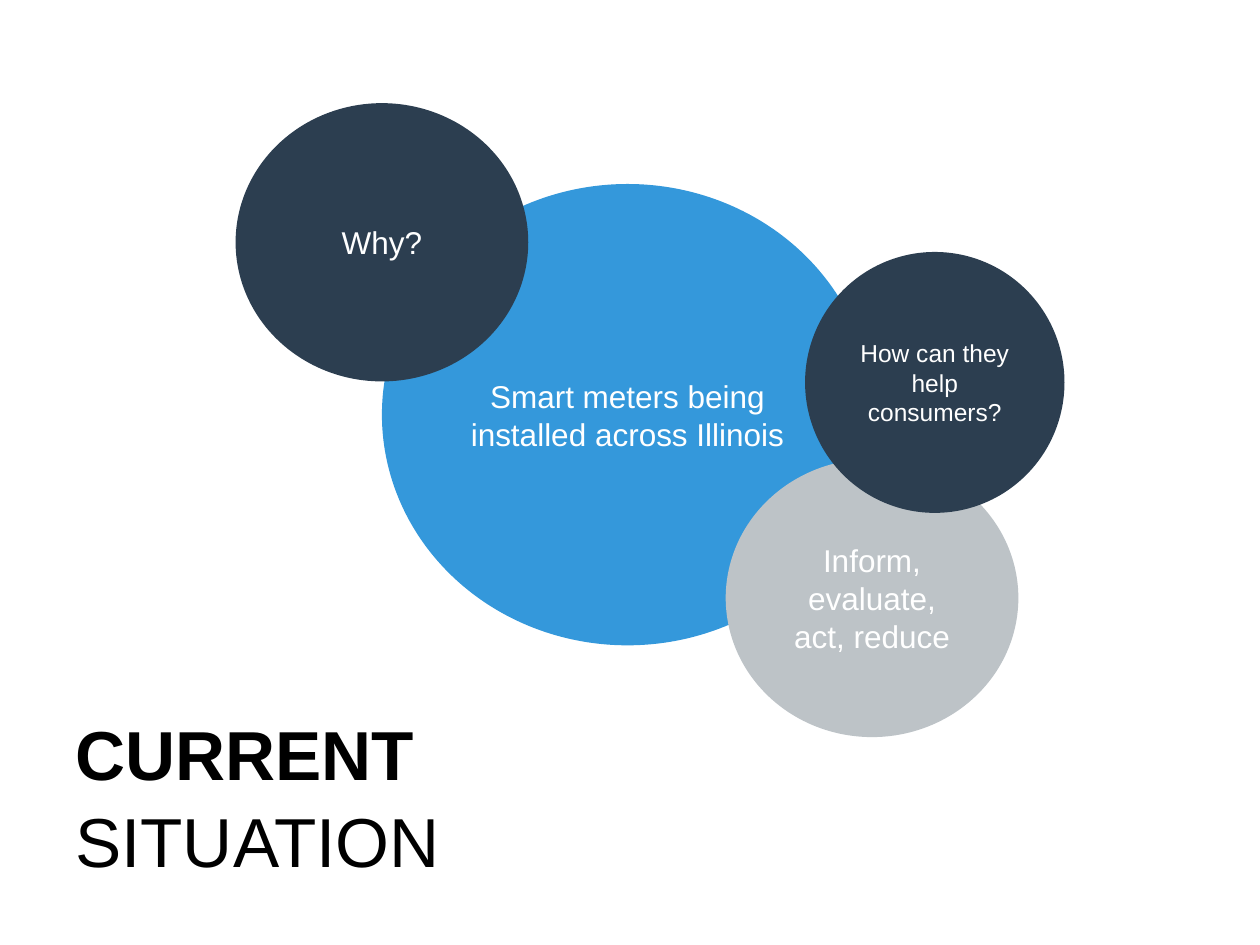
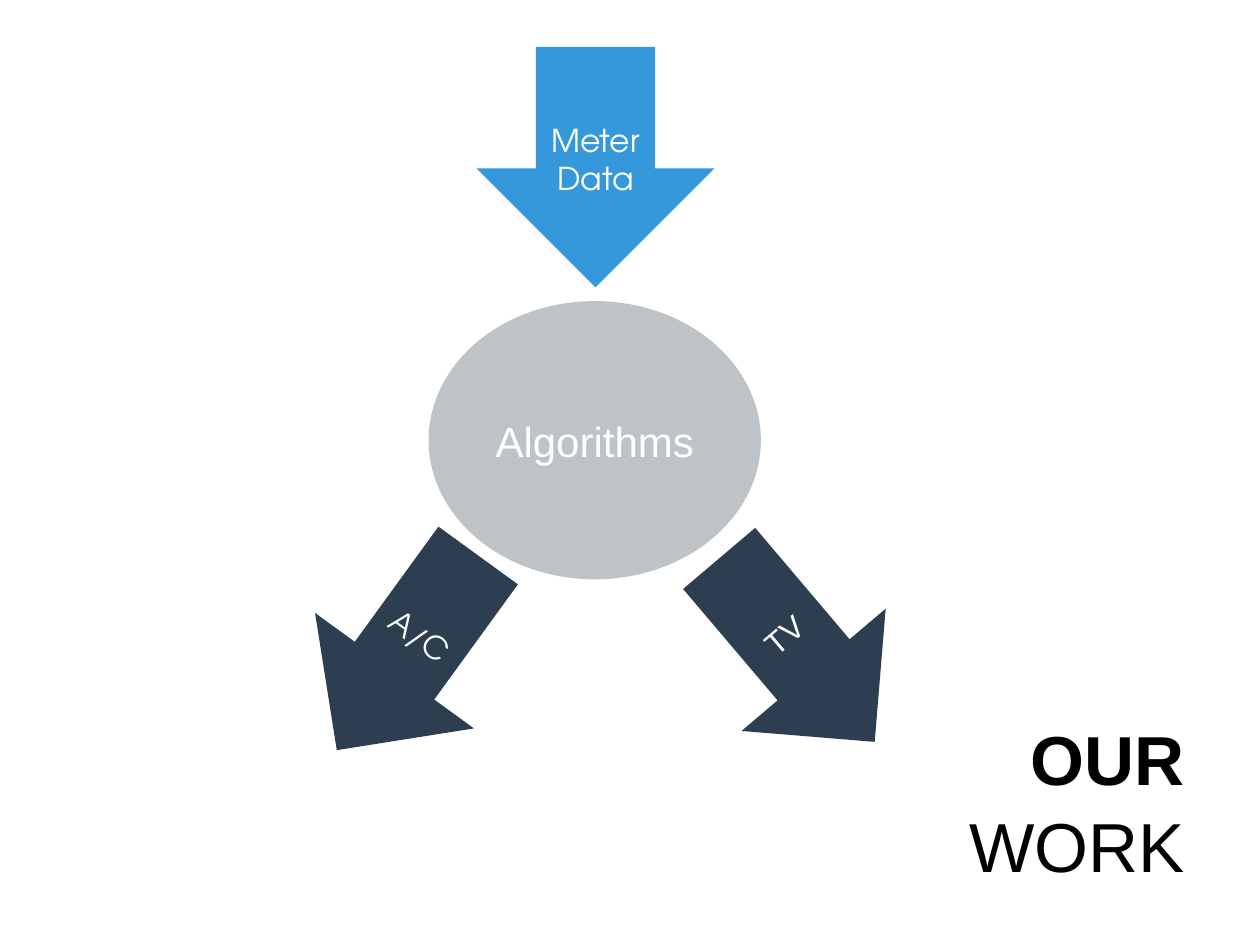
from pptx import Presentation
from pptx import util as u
from pptx.dml.color import RGBColor
from pptx.enum import shapes, text

BLUE, NAVY, GREY = "3498DB", "2C3E50", "BDC3C7"
WHITE, BLACK = "FFFFFF", "000000"
SANS, ROUND = "Arial", "TeX Gyre Adventor"
ALIGN = text.PP_ALIGN


def rgb(value):
    """Turn a hex string into a colour."""
    return RGBColor.from_string(value)


def apply(target, formats):
    """Set attributes from a dict of format values."""
    for name, value in formats.items():
        setattr(target, name, value)


def add_run(p, words, color, **font):
    """Add a coloured run to a paragraph."""
    r = p.add_run()
    r.text = words
    apply(r.font, font)
    r.font.color.rgb = rgb(color)


def add_title(s, top, strong, light, align):
    """Add the two-line title: a bold word above a regular one."""
    box = s.shapes.add_textbox(u.Cm(1.27), u.Cm(top), u.Cm(22.86), u.Cm(3.18))
    tf = box.text_frame
    apply(tf, {"word_wrap": True, "vertical_anchor": text.MSO_ANCHOR.MIDDLE})
    p = tf.paragraphs[0]
    apply(p, {"alignment": align, "line_spacing": 1.04})
    font = {"size": u.Pt(39.6), "name": SANS}
    add_run(p, strong, BLACK, bold=True, **font)
    p.add_line_break()
    add_run(p, light, BLACK, bold=False, **font)


def add_filled(s, kind, box, fill, lines, size=18, font=SANS):
    """Add a borderless shape with centred white text."""
    sp = s.shapes.add_shape(kind, *(u.Cm(v) for v in box))
    sp.shadow.inherit = False
    sp.fill.solid()
    sp.fill.fore_color.rgb = rgb(fill)
    sp.line.fill.background()
    tf = sp.text_frame
    apply(tf, {"word_wrap": True, "vertical_anchor": text.MSO_ANCHOR.MIDDLE})
    for i, line in enumerate(lines):
        p = tf.add_paragraph() if i else tf.paragraphs[0]
        p.alignment = ALIGN.CENTER
        add_run(p, line, WHITE, size=u.Pt(size), name=font)
    return sp


def add_circle(s, box, fill, words, size=18):
    """Add an ellipse with one paragraph."""
    add_filled(s, shapes.MSO_SHAPE.OVAL, box, fill, [words], size)


def add_arrow(s, box, rotation, fill, lines, font, inset=0.25):
    """Add a turned block arrow whose text runs across its shaft."""
    sp = add_filled(s, shapes.MSO_SHAPE.LEFT_ARROW, box, fill, lines, font=font)
    sp.rotation = rotation
    sp.text_frame.margin_right = u.Cm(inset)
    sp.text_frame._txBody.bodyPr.set("vert", "vert")


def build_situation(s):
    """Draw the overlapping circles of the current situation."""
    add_title(s, 14.43, "CURRENT", "SITUATION", ALIGN.LEFT)
    add_circle(s, (7.7, 3.71, 9.9, 9.3), BLUE,
               "Smart meters being installed across Illinois")
    add_circle(s, (4.75, 2.08, 5.9, 5.61), NAVY, "Why?")
    add_circle(s, (14.63, 9.25, 5.9, 5.61), GREY,
               "Inform, evaluate, act, reduce")
    add_circle(s, (16.23, 5.08, 5.23, 5.26), NAVY,
               "How can they help consumers?", 14)


def build_work(s):
    """Draw the flow from meter data to appliances."""
    add_title(s, 14.53, "OUR", "WORK", ALIGN.RIGHT)
    add_circle(s, (8.64, 6.07, 6.7, 5.61), GREY, "Algorithms", 24)
    add_arrow(s, (5.79, 11.18, 4.85, 3.96), 306, NAVY, ["A/C"], ROUND)
    add_arrow(s, (13.64, 11.2, 4.85, 3.81), 229.7, NAVY, ["TV"], SANS)
    add_arrow(s, (9.58, 0.97, 4.85, 4.8), 270, BLUE, ["Meter", "Data"],
              ROUND, inset=1)


def main():
    """Build and save the slides."""
    prs = Presentation()
    apply(prs, {"slide_width": u.Cm(25.4), "slide_height": u.Cm(19.05)})
    for build in (build_situation, build_work):
        build(prs.slides.add_slide(prs.slide_layouts[6]))
    prs.save("out.pptx")


main()
